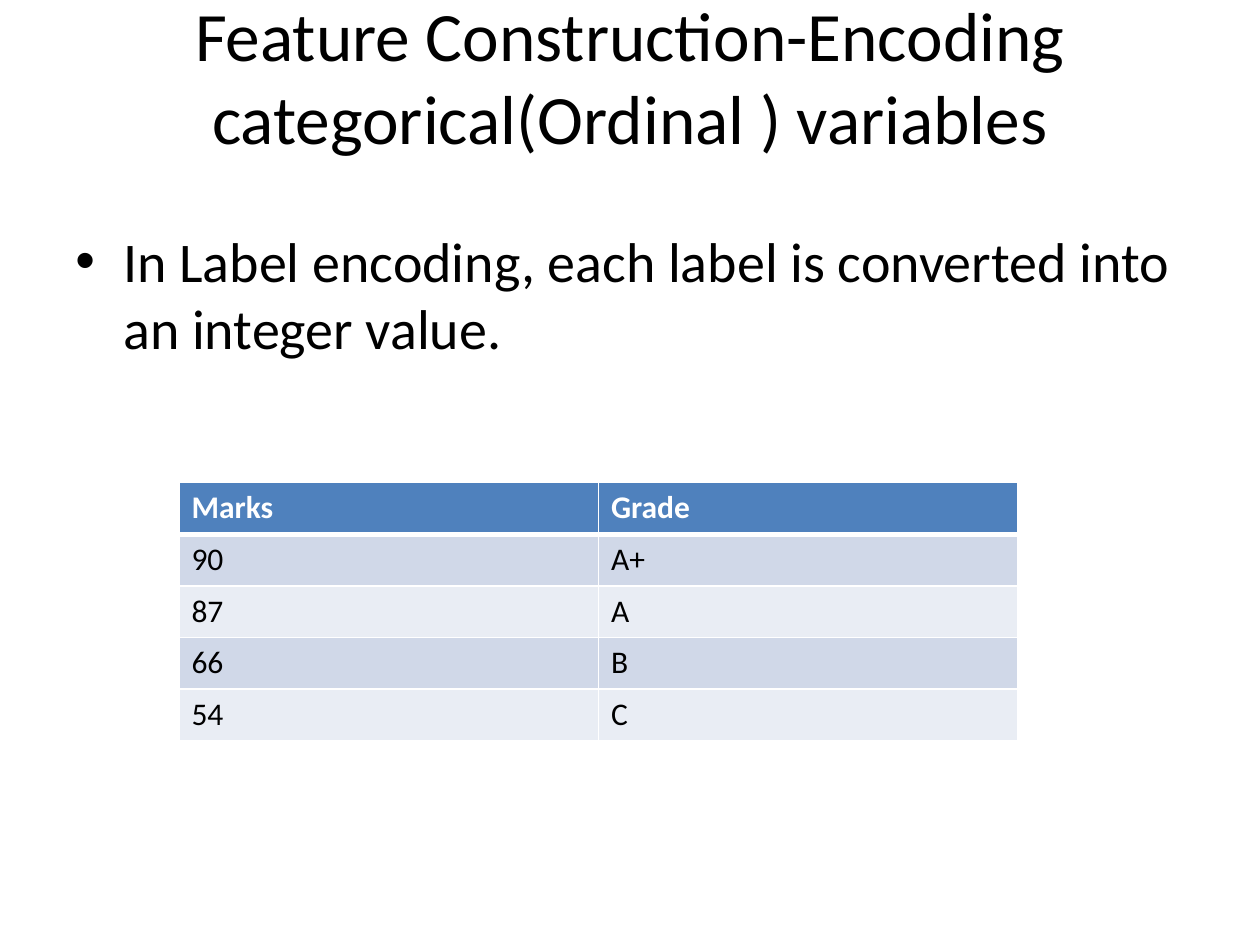
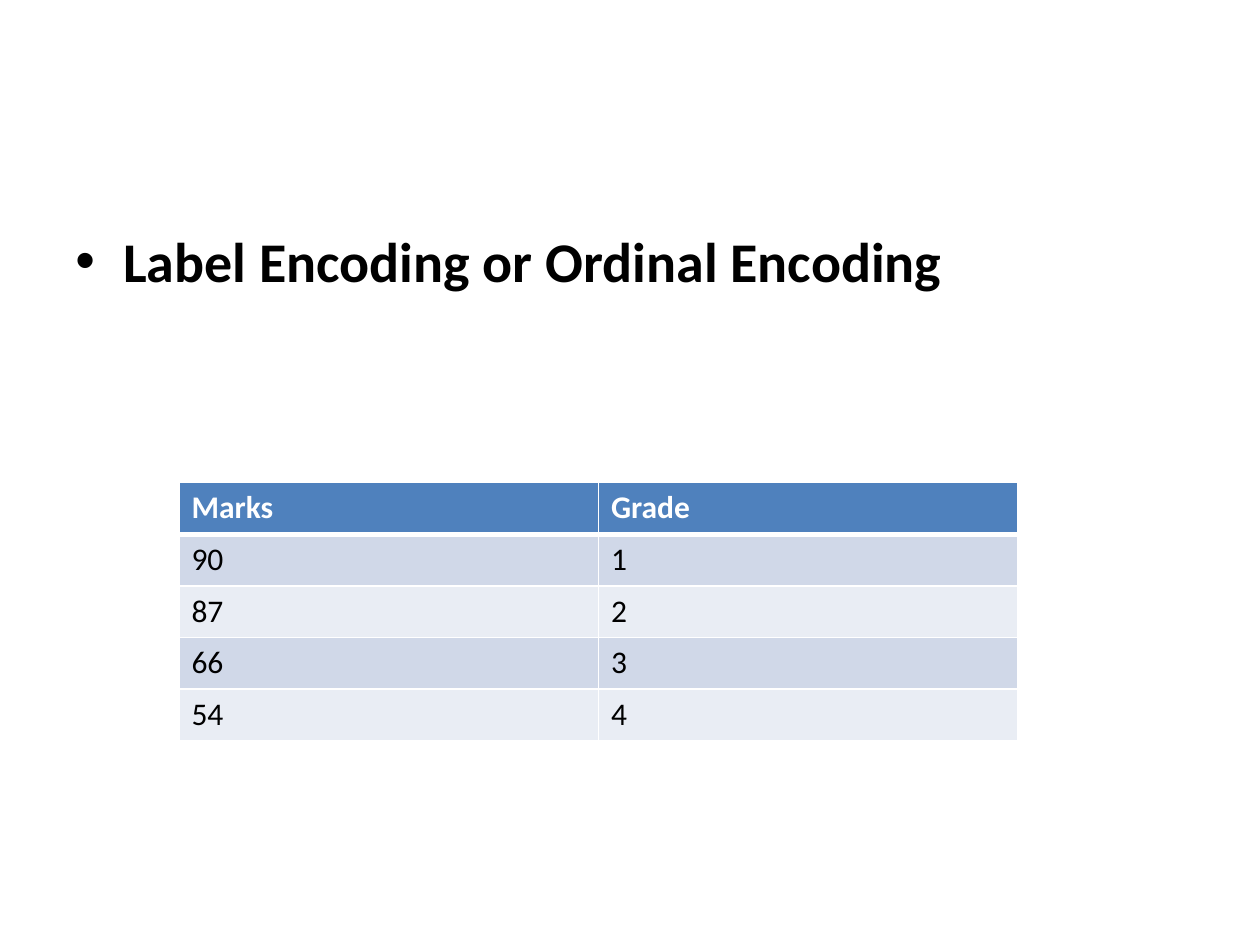
"""Build two slides that explain label encoding of ordinal variables."""
from dataclasses import dataclass

import lxml.etree
import pptx
import pptx.dml.color
import pptx.enum.text
import pptx.oxml.ns
import pptx.slide
import pptx.table
import pptx.util

Inches = pptx.util.Inches
Pt = pptx.util.Pt
RGBColor = pptx.dml.color.RGBColor
qn = pptx.oxml.ns.qn

BLACK = RGBColor(0x00, 0x00, 0x00)
WHITE = RGBColor(0xFF, 0xFF, 0xFF)
HEADER_BLUE = RGBColor(0x4F, 0x81, 0xBD)
BAND_COLORS = (RGBColor(0xD0, 0xD8, 0xE8), RGBColor(0xE9, 0xED, 0xF4))
FONT = "Calibri"
MARKS = ("90", "87", "66", "54")
COLUMN_WIDTH = Inches(3.33)
ROW_HEIGHT = Inches(0.41)
BULLET_INDENT = Inches(0.38)
THIN, THICK = Pt(1), Pt(3)


@dataclass(frozen=True)
class EncodingSlide:
    """Content of one slide."""

    bullet: str
    grades: tuple[str, ...]
    title: str = ""
    bold_bullet: bool = False


SLIDES = (
    EncodingSlide(
        title="Feature Construction-Encoding categorical(Ordinal ) variables",
        bullet="In Label encoding, each label is converted into an integer value.",
        grades=("A+", "A", "B", "C"),
    ),
    EncodingSlide(
        bullet="Label Encoding or Ordinal Encoding",
        grades=("1", "2", "3", "4"),
        bold_bullet=True,
    ),
)


def write_text(frame, text: str, size: float, color: RGBColor = BLACK, bold: bool = False):
    """Fill the first paragraph of a text frame and return it."""
    paragraph = frame.paragraphs[0]
    paragraph.text = text
    paragraph.font.name = FONT
    paragraph.font.size = Pt(size)
    paragraph.font.bold = bold
    paragraph.font.color.rgb = color
    return paragraph


def add_title(slide: pptx.slide.Slide, text: str) -> None:
    """Add the centred title, raised above the middle of its box."""
    box = slide.shapes.add_textbox(Inches(0.5), Inches(0.3), Inches(9), Inches(1.25))
    frame = box.text_frame
    frame.word_wrap = True
    frame.vertical_anchor = pptx.enum.text.MSO_ANCHOR.MIDDLE
    frame.margin_bottom = Inches(0.71)
    paragraph = write_text(frame, text, 39.6)
    paragraph.alignment = pptx.enum.text.PP_ALIGN.CENTER


def add_bullet(slide: pptx.slide.Slide, text: str, bold: bool) -> None:
    """Add the body box with one bulleted paragraph."""
    box = slide.shapes.add_textbox(Inches(0.5), Inches(1.75), Inches(9), Inches(4.95))
    box.text_frame.word_wrap = True
    paragraph = write_text(box.text_frame, text, 32, bold=bold)
    paragraph.space_before = Pt(6.4)
    properties = paragraph._p.get_or_add_pPr()
    properties.set("marL", str(BULLET_INDENT))
    properties.set("indent", str(-BULLET_INDENT))
    bullet_font = lxml.etree.Element(qn("a:buFont"), typeface="Arial")
    bullet = lxml.etree.Element(qn("a:buChar"), char="•")
    space_before = properties.find(qn("a:spcBef"))
    space_before.addnext(bullet_font)
    bullet_font.addnext(bullet)


def set_borders(cell: pptx.table._Cell, top: int, bottom: int) -> None:
    """Draw white borders, thin at the sides, ahead of the cell fill."""
    properties = cell._tc.get_or_add_tcPr()
    widths = {"a:lnL": THIN, "a:lnR": THIN, "a:lnT": top, "a:lnB": bottom}
    for position, (tag, width) in enumerate(widths.items()):
        line = lxml.etree.Element(qn(tag), w=str(width))
        fill = lxml.etree.SubElement(line, qn("a:solidFill"))
        lxml.etree.SubElement(fill, qn("a:srgbClr"), val=str(WHITE))
        properties.insert(position, line)


def add_grade_table(slide: pptx.slide.Slide, grades: tuple[str, ...]) -> None:
    """Add the banded table of marks and grades."""
    rows = [("Marks", "Grade"), *zip(MARKS, grades)]
    table = slide.shapes.add_table(
        len(rows), 2, Inches(1.42), Inches(3.83), COLUMN_WIDTH * 2, ROW_HEIGHT * len(rows)
    ).table
    for column in table.columns:
        column.width = COLUMN_WIDTH
    for row_index, values in enumerate(rows):
        table.rows[row_index].height = ROW_HEIGHT
        header = row_index == 0
        for column_index, value in enumerate(values):
            cell = table.cell(row_index, column_index)
            write_text(cell.text_frame, value, 18, WHITE if header else BLACK, header)
            cell.fill.solid()
            cell.fill.fore_color.rgb = HEADER_BLUE if header else BAND_COLORS[(row_index - 1) % 2]
            set_borders(cell, THICK if row_index == 1 else THIN, THICK if header else THIN)


def main() -> None:
    """Build and save the presentation."""
    presentation = pptx.Presentation()
    presentation.slide_width = Inches(10)
    presentation.slide_height = Inches(7.5)
    for content in SLIDES:
        slide = presentation.slides.add_slide(presentation.slide_layouts[6])
        if content.title:
            add_title(slide, content.title)
        add_bullet(slide, content.bullet, content.bold_bullet)
        add_grade_table(slide, content.grades)
    presentation.save("out.pptx")


main()
